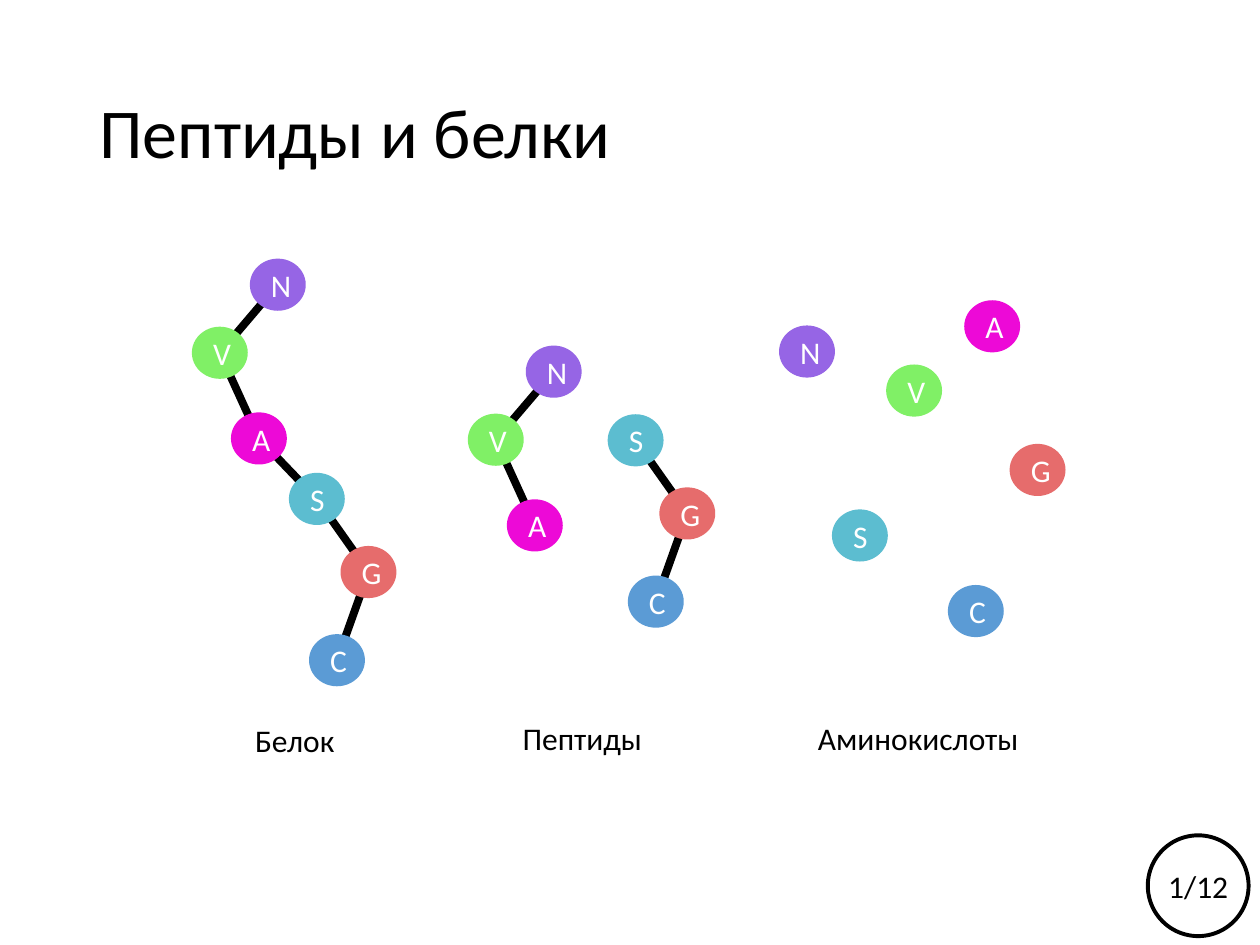
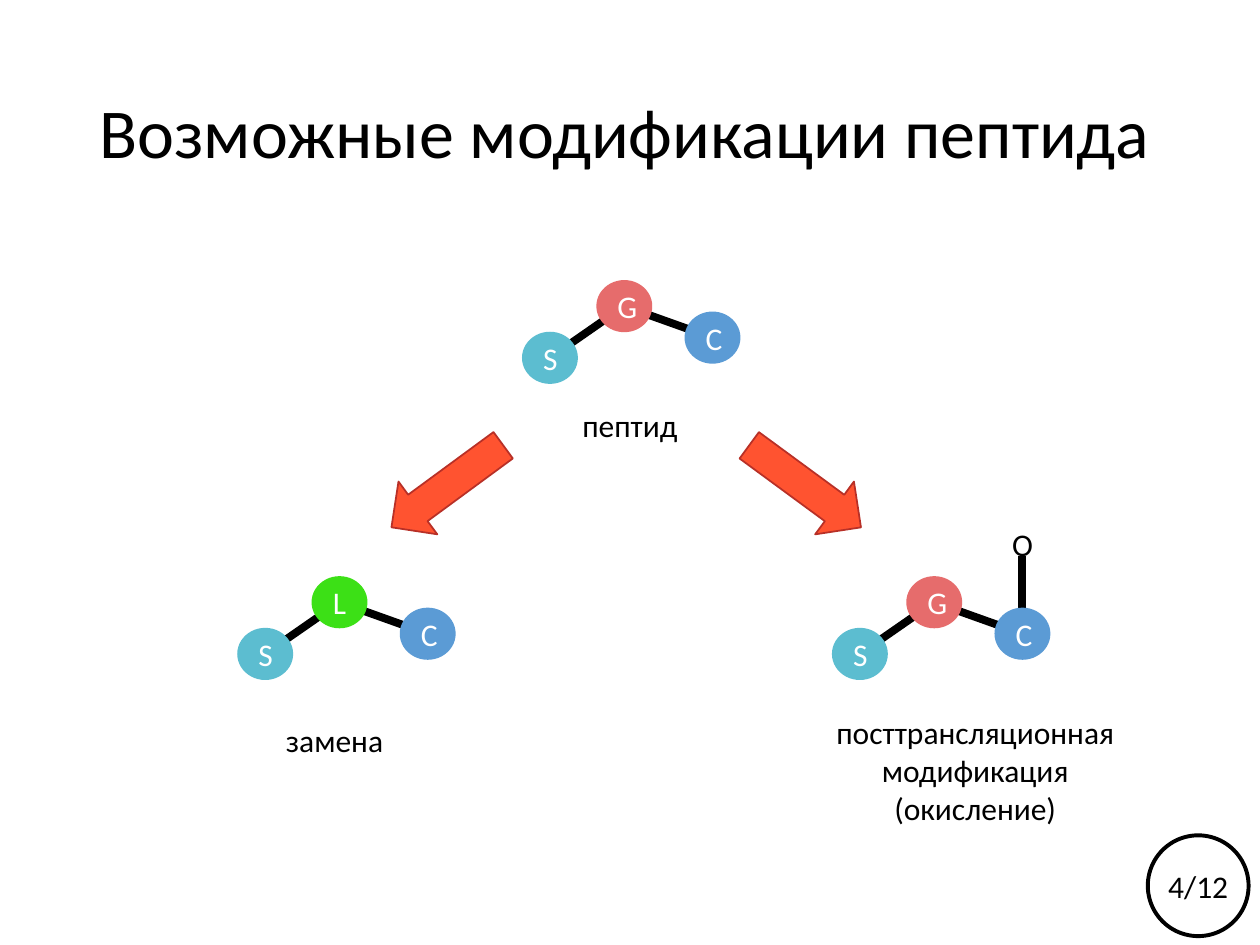
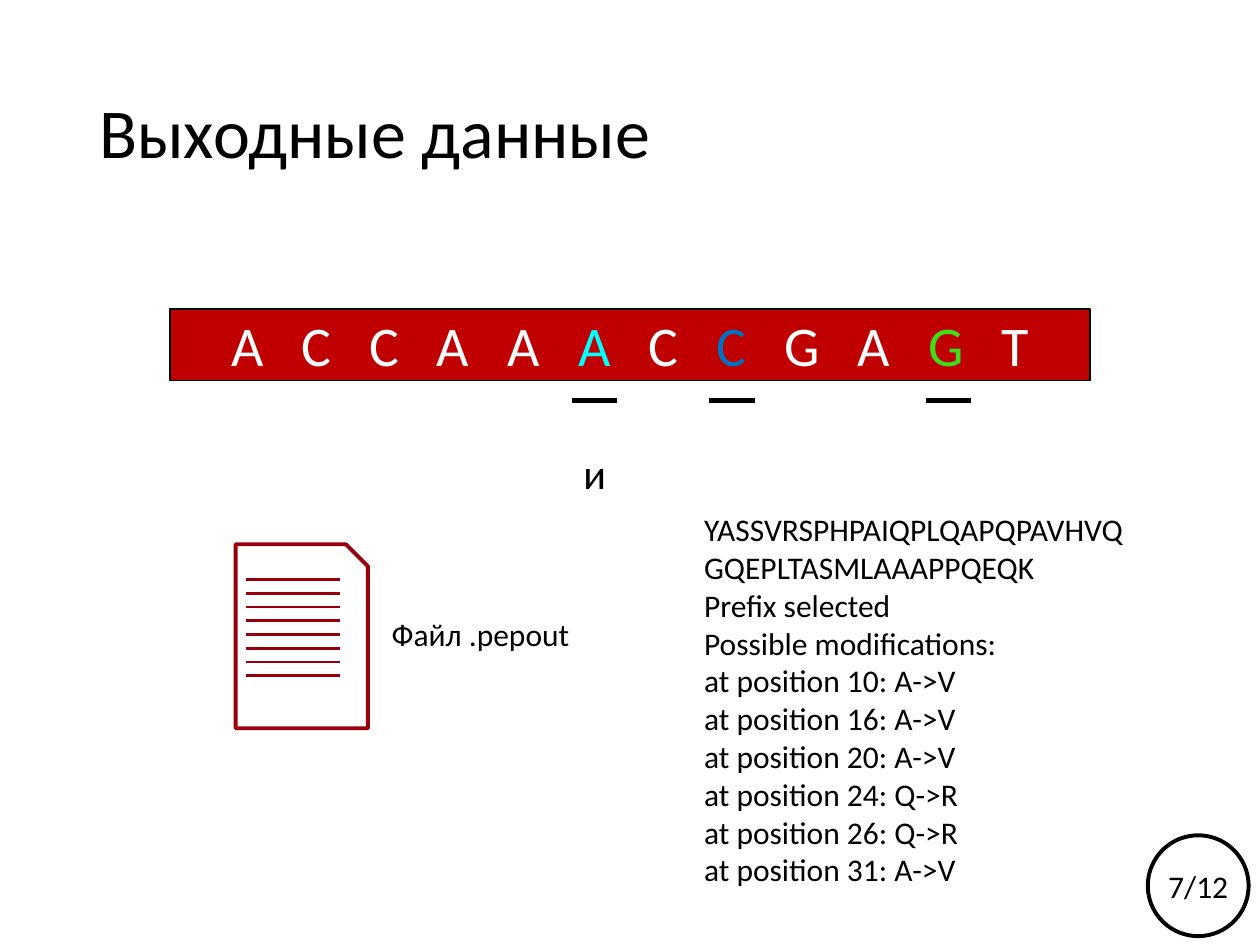
from dataclasses import dataclass, field
from itertools import pairwise
from typing import Any

from lxml.etree import SubElement
from pptx import Presentation
from pptx.dml.color import RGBColor
from pptx.enum.shapes import MSO_CONNECTOR, MSO_SHAPE
from pptx.enum.text import MSO_ANCHOR as Anchor, PP_ALIGN as Align
from pptx.oxml.ns import qn
from pptx.util import Inches, Pt

SLIDE_WIDTH, SLIDE_HEIGHT = Inches(10), Inches(7.5)
COLUMN, ROW = SLIDE_WIDTH / 100, SLIDE_HEIGHT / 75
TOTAL_PAGES = 12

COLOURS = {
    "black": "000000", "white": "FFFFFF", "band": "C00000", "file": "97000B",
    "arrow": "FF5330", "arrow edge": "B83027",
    "cyan": "00FFFF", "blue": "0070C0", "green": "3CE016",
    "N": "9665E5", "V": "80F066", "A": "ED09D7", "S": "5CBDD0",
    "G": "E66C6C", "C": "5B9BD5", "L": "3CE016",
}
BODY_FONT = {"name": "Calibri", "size": Pt(18)}
TITLE_FONT = BODY_FONT | {"size": Pt(40)}
JOIN_FONT = BODY_FONT | {"size": Pt(24)}
SEQUENCE_FONT = BODY_FONT | {"size": Pt(32)}
LETTER_SPACING = "723"


@dataclass(frozen=True)
class Box:
    """A rectangle in grid columns and rows."""
    left: float
    top: float
    width: float
    height: float

    def lengths(self) -> list[int]:
        """Return the rectangle in slide units."""
        return [round(self.left * COLUMN), round(self.top * ROW),
                round(self.width * COLUMN), round(self.height * ROW)]


@dataclass(frozen=True)
class Residue:
    """An amino acid disc by its letter and centre."""
    letter: str
    x: float
    y: float

    def moved(self, across: float, down: float) -> "Residue":
        """Return the same amino acid at a shifted place."""
        return Residue(self.letter, self.x + across, self.y + down)


@dataclass(frozen=True)
class Label:
    """A text with its place and format."""
    text: str
    box: Box
    align: Any = Align.CENTER
    font: dict[str, Any] = field(default_factory=lambda: BODY_FONT)


PROTEIN = [Residue("N", 22.05, 22.6), Residue("V", 17.45, 28), Residue("A", 20.55, 34.8),
           Residue("S", 25.15, 39.6), Residue("G", 29.25, 45.4), Residue("C", 26.75, 52.4)]
PEPTIDES = [[residue.moved(21.9, 6.9) for residue in PROTEIN[:3]],
            [residue.moved(25.3, -4.65) for residue in PROTEIN[3:]]]
AMINO_ACIDS = [Residue("A", 78.75, 25.9), Residue("S", 68.25, 42.5), Residue("V", 72.55, 31),
               Residue("N", 64.05, 27.9), Residue("C", 77.45, 48.5), Residue("G", 82.35, 37.3)]
TRIPEPTIDE_STEPS = [(0, 0), (5.9, -4.1), (12.9, -1.6)]
TRIPEPTIDES = [("SGC", 43.65, 28.4), ("SLC", 21.05, 51.9), ("SGC", 68.25, 51.9)]

KIND_LABELS = [Label("Аминокислоты ", Box(60.4, 56.6, 25.5, 4)),
               Label("Пептиды ", Box(35.6, 56.6, 21.8, 4)),
               Label("Белок", Box(14.1, 56.7, 18.6, 4))]
CHANGE_LABELS = [Label("пептид", Box(45.2, 31.7, 9.6, 4)),
                 Label("замена", Box(20.5, 56.7, 12.1, 4)),
                 Label("посттрансляционная модификация (окисление)", Box(64.8, 56.1, 25.2, 10.1)),
                 Label("O", Box(79, 41.2, 4.3, 4))]
REPORT = """YASSVRSPHPAIQPLQAPQPAVHVQ
GQEPLTASMLAAAPPQEQK
Prefix selected
Possible modifications:
at position 10: A->V
at position 16: A->V
at position 20: A->V
at position 24: Q->R
at position 26: Q->R
at position 31: A->V"""
OUTPUT_LABELS = [Label("и", Box(43.8, 35, 6.8, 5), font=JOIN_FONT),
                 Label("Файл .pepout", Box(30.1, 48.3, 20.5, 4), Align.LEFT),
                 Label(REPORT, Box(54.9, 40, 44, 31.3), Align.LEFT)]
SEQUENCE = [("A C C A A ", "white"), ("A ", "cyan"), ("C ", "white"), ("C ", "blue"),
            ("G A ", "white"), ("G ", "green"), ("T", "white")]


def colour(name: str) -> RGBColor:
    """Return a palette colour."""
    return RGBColor.from_string(COLOURS[name])


def add_run(paragraph: Any, text: str, font: dict[str, Any], ink: str) -> Any:
    """Add a formatted run to a paragraph."""
    run = paragraph.add_run()
    run.text = text
    for attribute, value in font.items():
        setattr(run.font, attribute, value)
    run.font.color.rgb = colour(ink)
    return run


def add_label(slide: Any, label: Label) -> Any:
    """Add a wrapped text box with one paragraph per line."""
    frame = slide.shapes.add_textbox(*label.box.lengths()).text_frame
    frame.word_wrap = True
    for index, line in enumerate(label.text.split("\n")):
        paragraph = frame.add_paragraph() if index else frame.paragraphs[0]
        paragraph.alignment = label.align
        add_run(paragraph, line, label.font, "black")
    return frame


def add_figure(slide: Any, kind: Any, box: Box, fill: str, edge: str, weight: float = 1) -> Any:
    """Add a filled and outlined preset shape."""
    shape = slide.shapes.add_shape(kind, *box.lengths())
    shape.shadow.inherit = False
    shape.fill.solid()
    shape.fill.fore_color.rgb = colour(fill)
    shape.line.color.rgb = colour(edge)
    shape.line.width = Pt(weight)
    shape.text_frame.word_wrap = True
    shape.text_frame.vertical_anchor = Anchor.MIDDLE
    shape.text_frame.paragraphs[0].alignment = Align.CENTER
    return shape


def add_line(slide: Any, start: tuple[float, float], end: tuple[float, float],
             ink: str = "black", weight: float = 4.5) -> None:
    """Add a straight line between two grid points."""
    ends = [round(value * unit) for point in (start, end)
            for value, unit in zip(point, (COLUMN, ROW))]
    line = slide.shapes.add_connector(MSO_CONNECTOR.STRAIGHT, *ends)
    line.line.color.rgb = colour(ink)
    line.line.width = Pt(weight)
    SubElement(line._element.spPr, qn("a:effectLst"))


def add_discs(slide: Any, residues: list[Residue]) -> None:
    """Add a lettered disc for each amino acid."""
    for residue in residues:
        box = Box(residue.x - 2.15, residue.y - 2, 4.3, 4)
        disc = add_figure(slide, MSO_SHAPE.OVAL, box, residue.letter, residue.letter)
        add_run(disc.text_frame.paragraphs[0], residue.letter, BODY_FONT, "white")


def add_chain(slide: Any, residues: list[Residue]) -> None:
    """Add linked amino acids with the discs above the links."""
    for first, second in pairwise(residues):
        add_line(slide, (first.x, first.y), (second.x, second.y))
    add_discs(slide, residues)


def add_page(presentation: Any, title: str, number: int, labels: list[Label]) -> Any:
    """Add a slide with its title, page badge and labels."""
    slide = presentation.slides.add_slide(presentation.slide_layouts[6])
    heading = Label(title, Box(6.9, 3.5, 86.2, 14.6), Align.LEFT, TITLE_FONT)
    frame = add_label(slide, heading)
    frame.vertical_anchor = Anchor.MIDDLE
    frame.paragraphs[0].line_spacing = 0.9
    add_figure(slide, MSO_SHAPE.OVAL, Box(91.1, 66.3, 8, 8), "white", "black", 2.25)
    add_label(slide, Label(f"{number}/{TOTAL_PAGES}", Box(91.3, 68.3, 7.6, 4)))
    for label in labels:
        add_label(slide, label)
    return slide


def build_peptides(presentation: Any) -> None:
    """Build the slide on proteins, peptides and amino acids."""
    slide = add_page(presentation, "Пептиды и белки", 1, KIND_LABELS)
    for chain in [PROTEIN, *PEPTIDES]:
        add_chain(slide, chain)
    add_discs(slide, AMINO_ACIDS)


def build_modifications(presentation: Any) -> None:
    """Build the slide on peptide modifications."""
    slide = add_page(presentation, "Возможные модификации пептида", 4, CHANGE_LABELS)
    for left, turn in [(61.3, -53.7), (32.9, 53.7)]:
        arrow = add_figure(slide, MSO_SHAPE.DOWN_ARROW, Box(left, 33.1, 5.2, 11),
                           "arrow", "arrow edge")
        arrow.rotation = turn
    add_line(slide, (81.1, 44.1), (81.1, 49.7))
    for letters, x, y in TRIPEPTIDES:
        add_chain(slide, [Residue(letter, x, y).moved(*step)
                          for letter, step in zip(letters, TRIPEPTIDE_STEPS)])


def build_output(presentation: Any) -> None:
    """Build the slide on output data."""
    slide = add_page(presentation, "Выходные данные", 7, [])
    band = add_figure(slide, MSO_SHAPE.RECTANGLE, Box(13.5, 24.5, 73, 5.7), "band", "black")
    for text, ink in SEQUENCE:
        run = add_run(band.text_frame.paragraphs[0], text, SEQUENCE_FONT, ink)
        if text.endswith(" "):
            run._r.get_or_add_rPr().set("spc", LETTER_SPACING)
    for left in (45.4, 56.3, 73.5):
        add_line(slide, (left, 31.8), (left + 3.6, 31.8), weight=3)
    add_figure(slide, MSO_SHAPE.SNIP_1_RECTANGLE, Box(18.7, 43.2, 10.5, 14.6),
               "white", "file", 2.25)
    for index in range(8):
        height = 46 + 1.09 * index
        add_line(slide, (19.55, height), (27, height), "file", 1.5)
    for label in OUTPUT_LABELS:
        add_label(slide, label)


def main() -> None:
    """Build and save the presentation."""
    presentation = Presentation()
    presentation.slide_width, presentation.slide_height = SLIDE_WIDTH, SLIDE_HEIGHT
    for build in (build_peptides, build_modifications, build_output):
        build(presentation)
    presentation.save("out.pptx")


if __name__ == "__main__":
    main()
